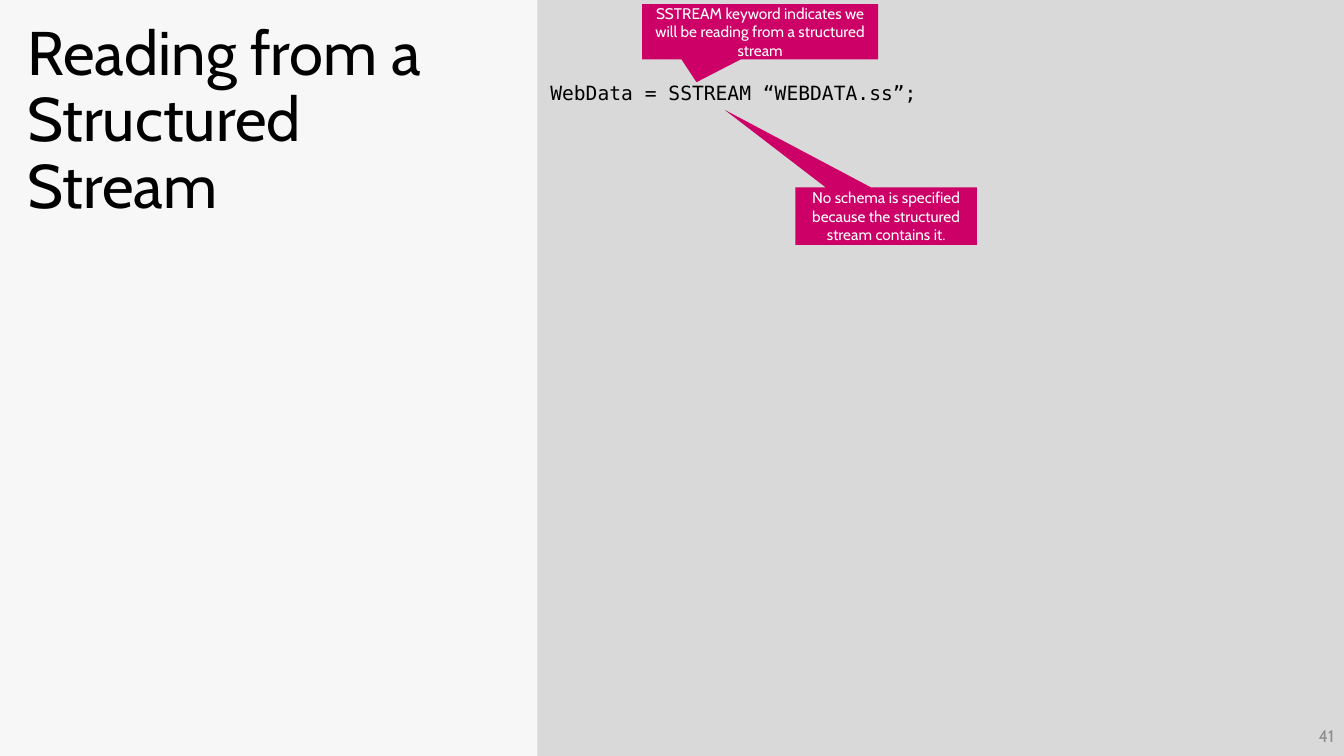
from dataclasses import dataclass

from pptx import Presentation
from pptx import util as u
from pptx.dml.color import RGBColor
from pptx.enum import shapes, text


@dataclass(frozen=True)
class Theme:
    background: str = "F7F7F7"
    panel: str = "D9D9D9"
    accent: str = "CC0066"
    ink: str = "000000"
    light: str = "FFFFFF"
    muted: str = "8C8C8C"
    body_font: str = "Cabin"
    code_font: str = "DejaVu Sans Mono"
    title_size: int = 44
    code_size: int = 14
    number_size: int = 12
    callout_size: int = 11


@dataclass(frozen=True)
class Box:
    left: float
    top: float
    width: float
    height: float

    def emu(self) -> tuple:
        return tuple(map(u.Inches, (self.left, self.top, self.width, self.height)))


@dataclass(frozen=True)
class Callout:
    box: Box
    tip: tuple[float, float]
    label: str


THEME = Theme()
SLIDE = Box(0, 0, 13.33, 7.5)
PANEL = Box(5.33, 0, 8, 7.5)
TITLE = Box(0.17, 0.17, 4.92, 7.17)
CODE = Box(5.36, 0.75, 7.25, 5.15)
NUMBER = Box(10.33, 7.1, 3, 0.4)
CALLOUTS = (
    Callout(Box(6.37, 0.04, 2.34, 0.55), (-0.27, 0.91),
            "SSTREAM keyword indicates we will be reading from a structured stream"),
    Callout(Box(7.89, 1.86, 1.8, 0.57), (-0.89, -1.85),
            "No schema is specified because the structured stream contains it."),
)


def write(sp, label: str, size: int, color: str, font: str = THEME.body_font,
          align=text.PP_ALIGN.LEFT, anchor=text.MSO_ANCHOR.TOP,
          spacing: float = 1.0) -> None:
    tf = sp.text_frame
    tf.text = label
    p = tf.paragraphs[0]
    formats = {
        tf: {"word_wrap": True, "auto_size": text.MSO_AUTO_SIZE.NONE,
             "vertical_anchor": anchor},
        p: {"alignment": align, "line_spacing": spacing, "space_before": u.Pt(0)},
        p.runs[0].font: {"name": font, "size": u.Pt(size)},
    }
    for target, values in formats.items():
        for name, value in values.items():
            setattr(target, name, value)
    p.runs[0].font.color.rgb = RGBColor.from_string(color)


def add_filled(s, kind, box: Box, color: str):
    sp = s.shapes.add_shape(kind, *box.emu())
    sp.shadow.inherit = False
    sp.fill.solid()
    sp.fill.fore_color.rgb = RGBColor.from_string(color)
    sp.line.fill.background()
    return sp


def add_title(s, label: str) -> None:
    sp = s.shapes.title
    for name, value in zip(("left", "top", "width", "height"), TITLE.emu()):
        setattr(sp, name, value)
    write(sp, label, THEME.title_size, THEME.ink, spacing=0.9)


def add_callout(s, callout: Callout) -> None:
    sp = add_filled(s, shapes.MSO_SHAPE.RECTANGULAR_CALLOUT, callout.box, THEME.accent)
    for i, value in enumerate(callout.tip):
        sp.adjustments[i] = value
    write(sp, callout.label, THEME.callout_size, THEME.light,
          align=text.PP_ALIGN.CENTER, anchor=text.MSO_ANCHOR.MIDDLE)


def main() -> None:
    prs = Presentation()
    prs.slide_width, prs.slide_height = SLIDE.emu()[2:]
    s = prs.slides.add_slide(prs.slide_layouts[5])
    s.background.fill.solid()
    s.background.fill.fore_color.rgb = RGBColor.from_string(THEME.background)

    add_filled(s, shapes.MSO_SHAPE.RECTANGLE, PANEL, THEME.panel)
    add_title(s, "Reading from a Structured Stream")
    write(s.shapes.add_textbox(*NUMBER.emu()), "41", THEME.number_size, THEME.muted,
          align=text.PP_ALIGN.RIGHT, anchor=text.MSO_ANCHOR.MIDDLE)
    write(s.shapes.add_textbox(*CODE.emu()), "WebData = SSTREAM “WEBDATA.ss”;",
          THEME.code_size, THEME.ink, THEME.code_font)
    for callout in CALLOUTS:
        add_callout(s, callout)

    prs.save("out.pptx")


if __name__ == "__main__":
    main()
